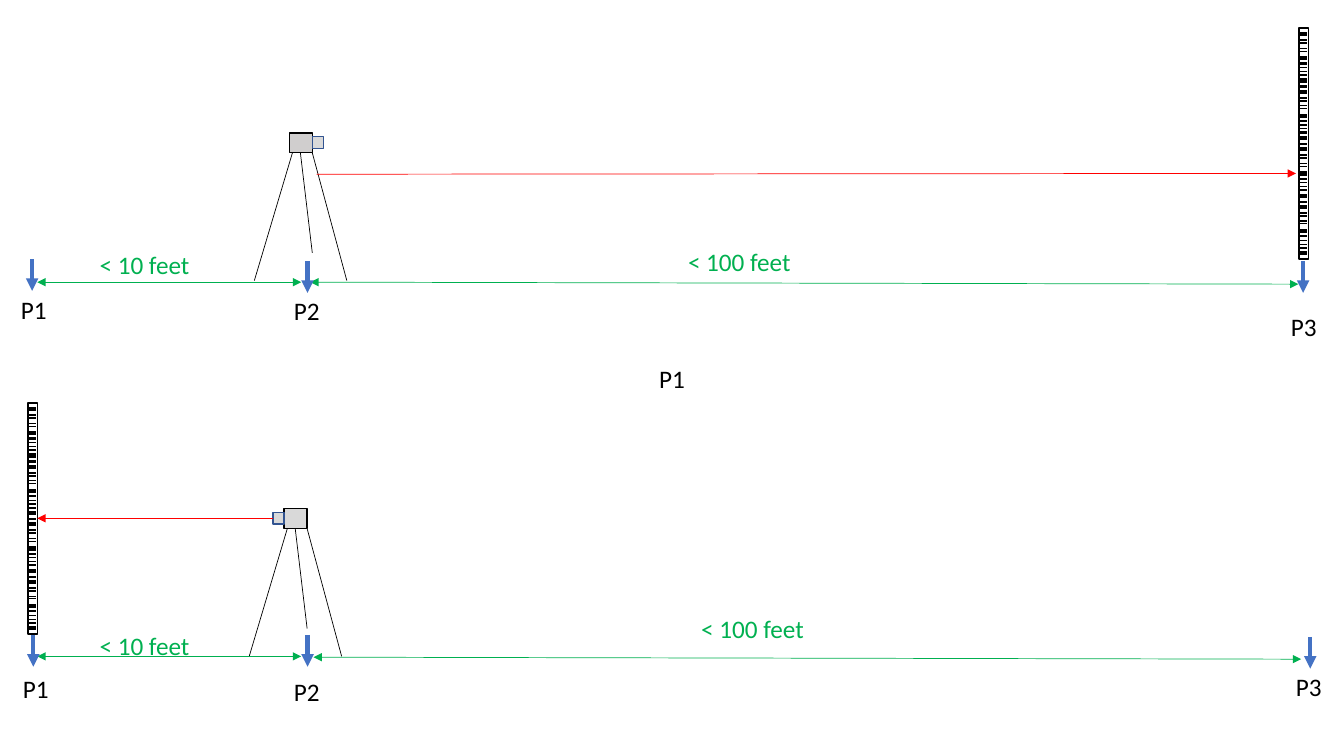
from typing import NamedTuple

from lxml.etree import SubElement
from pptx import Presentation
from pptx.dml.color import RGBColor
from pptx.enum.shapes import MSO_CONNECTOR, MSO_SHAPE
from pptx.enum.text import MSO_AUTO_SIZE, MSO_ANCHOR, PP_ALIGN
from pptx.oxml.ns import qn
from pptx.shapes.shapetree import GroupShapes, SlideShapes
from pptx.util import Cm, Pt

COLORS = {
    "black": "000000",
    "white": "FFFFFF",
    "red": "FF0000",
    "green": "00B050",
    "blue": "4472C4",
    "navy": "325491",
    "gray": "D0CECE",
    "pale": "D9D9D9",
}


class Line(NamedTuple):
    x1: float
    y1: float
    x2: float
    y2: float
    color: str = "black"
    width: float = 0.5
    heads: tuple[str, ...] = ()


class Box(NamedTuple):
    x: float
    y: float
    w: float
    h: float
    fill: str
    edge: str = "black"


class Level(NamedTuple):
    x: float
    y: float
    scope: float
    fill: str


class Staff(NamedTuple):
    x: float
    y: float


class Mark(NamedTuple):
    y: float
    width: float


class Label(NamedTuple):
    text: str
    x: float
    y: float
    w: float = 1.17
    color: str = "black"


Shapes = SlideShapes | GroupShapes

STAFF_W, STAFF_H = 0.23, 5.82
CYCLES, CYCLE = 4, 1.45
MARKS = [
    Mark(0.15, 3), Mark(0.3, 1.5), Mark(0.38, 1.5), Mark(0.51, 0.75),
    Mark(0.58, 0.75), Mark(0.76, 3), Mark(0.89, 1.5), Mark(0.99, 0.75),
    Mark(1.09, 0.75), Mark(1.18, 1.5), Mark(1.32, 3), Mark(1.47, 1.5),
]
HEAD_W, HEAD_H = 0.58, 0.5
LEGS = [(0.08, -0.88, 3.72), (0.58, 1.45, 3.72), (0.28, 0.58, 3.02)]
PIN = 0.8
PINS = [
    (0.81, 6.53), (7.75, 6.58), (32.84, 6.58),
    (0.84, 16), (7.75, 16), (33.02, 16.05),
]
END, BOTH = ("tailEnd",), ("headEnd", "tailEnd")

SIGHTS = [
    Line(7.98, 4.39, 32.66, 4.37, "red", heads=END),
    Line(6.88, 13.06, 0.94, 13.06, "red", heads=END),
]
SPANS = [
    Line(0.94, 7.11, 7.59, 7.11, "green", heads=BOTH),
    Line(7.82, 7.11, 32.72, 7.16, "green", heads=BOTH),
    Line(0.94, 16.54, 7.59, 16.54, "green", heads=BOTH),
    Line(7.9, 16.56, 32.79, 16.61, "green", heads=BOTH),
]
LEVELS = [Level(7.29, 3.35, HEAD_W, "gray"), Level(7.16, 12.82, -0.28, "pale")]
STAFFS = [Staff(32.74, 0.71), Staff(0.71, 10.16)]
LABELS = [
    Label("P1", 0.28, 7.29),
    Label("P2", 7.16, 7.32),
    Label("P3", 32.28, 7.72),
    Label("P1", 16.36, 9.02),
    Label("P1", 0.33, 16.84),
    Label("P2", 7.16, 16.92),
    Label("P3", 32.41, 16.79),
    Label("< 10 feet", 2.26, 6.15, 2.82, "green"),
    Label("< 100 feet", 17.09, 6.07, 3.12, "green"),
    Label("< 10 feet", 2.26, 15.77, 2.82, "green"),
    Label("< 100 feet", 17.42, 15.34, 3.12, "green"),
]


def paint(name: str) -> RGBColor:
    return RGBColor.from_string(COLORS[name])


def draw_line(shapes: Shapes, line: Line) -> None:
    item = shapes.add_connector(
        MSO_CONNECTOR.STRAIGHT,
        Cm(line.x1), Cm(line.y1), Cm(line.x2), Cm(line.y2),
    )
    item.line.color.rgb = paint(line.color)
    item.line.width = Pt(line.width)
    stroke = item.line._get_or_add_ln()
    for head in line.heads:
        SubElement(stroke, qn(f"a:{head}"), type="triangle")
    SubElement(item._element.spPr, qn("a:effectLst"))


def draw_box(shapes: Shapes, box: Box) -> None:
    item = shapes.add_shape(
        MSO_SHAPE.RECTANGLE, Cm(box.x), Cm(box.y), Cm(box.w), Cm(box.h)
    )
    item.shadow.inherit = False
    item.fill.solid()
    item.fill.fore_color.rgb = paint(box.fill)
    item.line.color.rgb = paint(box.edge)
    item.line.width = Pt(1)


def draw_level(shapes: Shapes, level: Level) -> None:
    group = shapes.add_group_shape().shapes
    x, y = level.x, level.y
    draw_box(group, Box(x, y, HEAD_W, HEAD_H, level.fill))
    draw_box(group, Box(x + level.scope, y + 0.09, 0.28, 0.3, "pale", "navy"))
    for top, foot, drop in LEGS:
        draw_line(group, Line(x + top, y + HEAD_H, x + foot, y + drop))


def draw_staff(shapes: Shapes, staff: Staff) -> None:
    group = shapes.add_group_shape().shapes
    x = staff.x
    draw_box(group, Box(x, staff.y, STAFF_W, STAFF_H, "white"))
    for cycle in range(CYCLES):
        for mark in MARKS:
            y = staff.y + cycle * CYCLE + mark.y
            draw_line(group, Line(x, y, x + 0.2, y, width=mark.width))


def add_text(shapes: Shapes, text: str, *, x: float, y: float, w: float,
             color: str, h: float = 1.02, size: float = 18,
             font: str = "Calibri") -> None:
    frame = shapes.add_textbox(Cm(x), Cm(y), Cm(w), Cm(h)).text_frame
    frame.word_wrap = False
    frame.auto_size = MSO_AUTO_SIZE.SHAPE_TO_FIT_TEXT
    frame.vertical_anchor = MSO_ANCHOR.TOP
    para = frame.paragraphs[0]
    para.alignment = PP_ALIGN.LEFT
    run = para.add_run()
    run.text = text
    run.font.name = font
    run.font.size = Pt(size)
    run.font.color.rgb = paint(color)


def main() -> None:
    deck = Presentation()
    deck.slide_width, deck.slide_height = Cm(33.87), Cm(19.05)
    shapes = deck.slides.add_slide(deck.slide_layouts[6]).shapes
    for level in LEVELS:
        draw_level(shapes, level)
    for line in SPANS:
        draw_line(shapes, line)
    for staff in STAFFS:
        draw_staff(shapes, staff)
    for line in SIGHTS:
        draw_line(shapes, line)
    for x, y in PINS:
        draw_line(shapes, Line(x, y, x, y + PIN, "blue", 3, END))
    for label in LABELS:
        add_text(shapes, label.text, x=label.x, y=label.y, w=label.w,
                 color=label.color)
    deck.save("out.pptx")


main()
